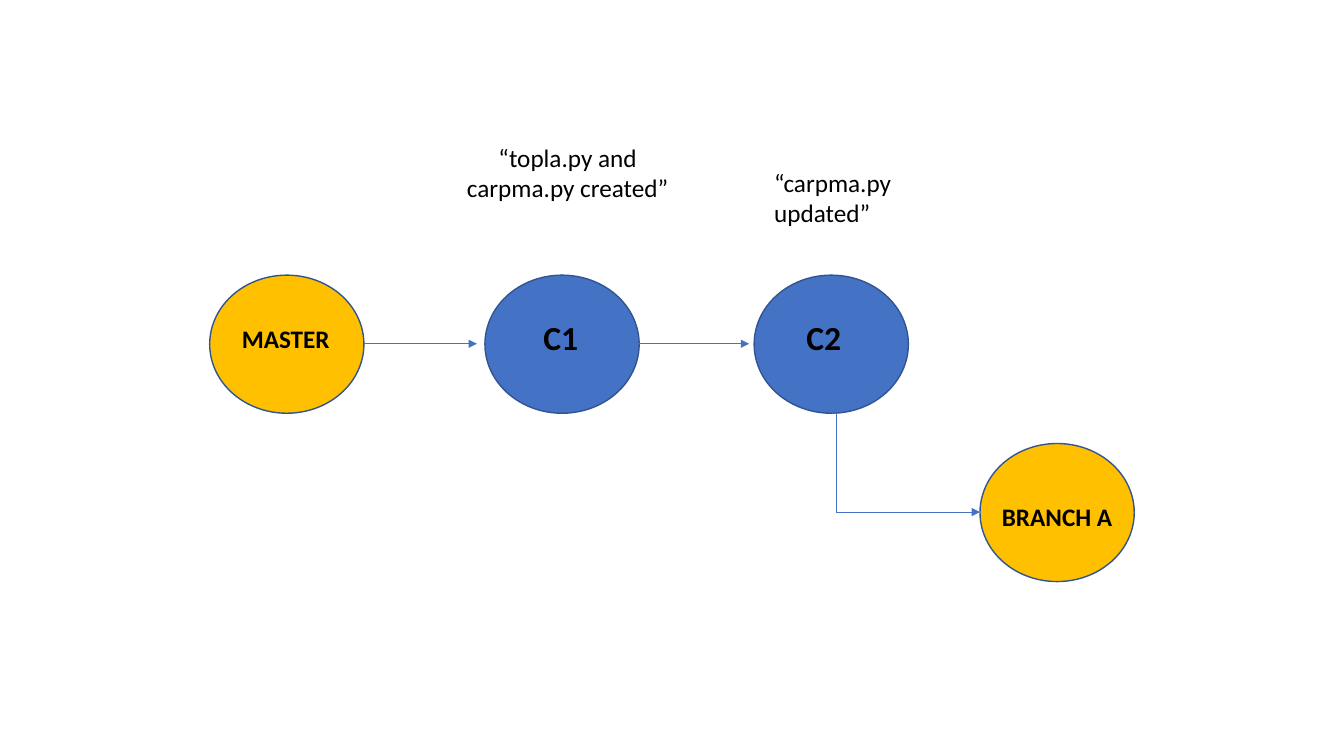
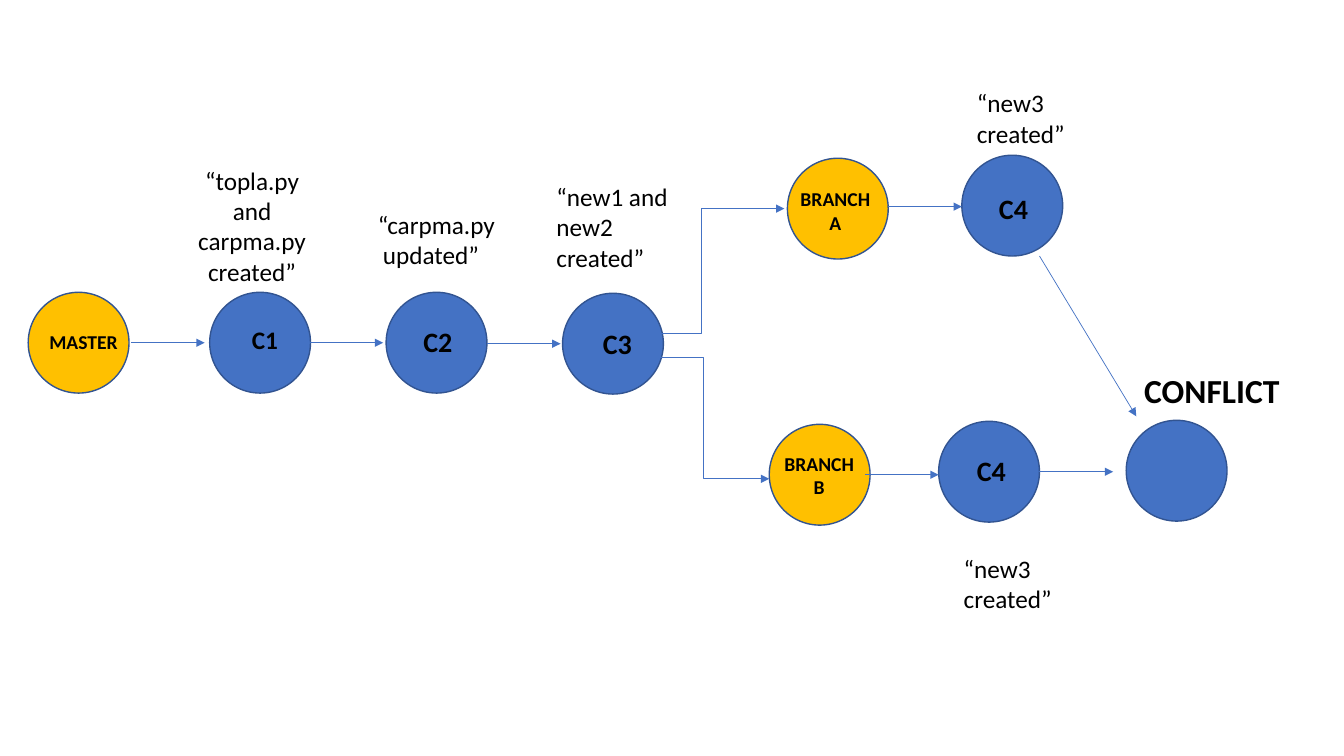
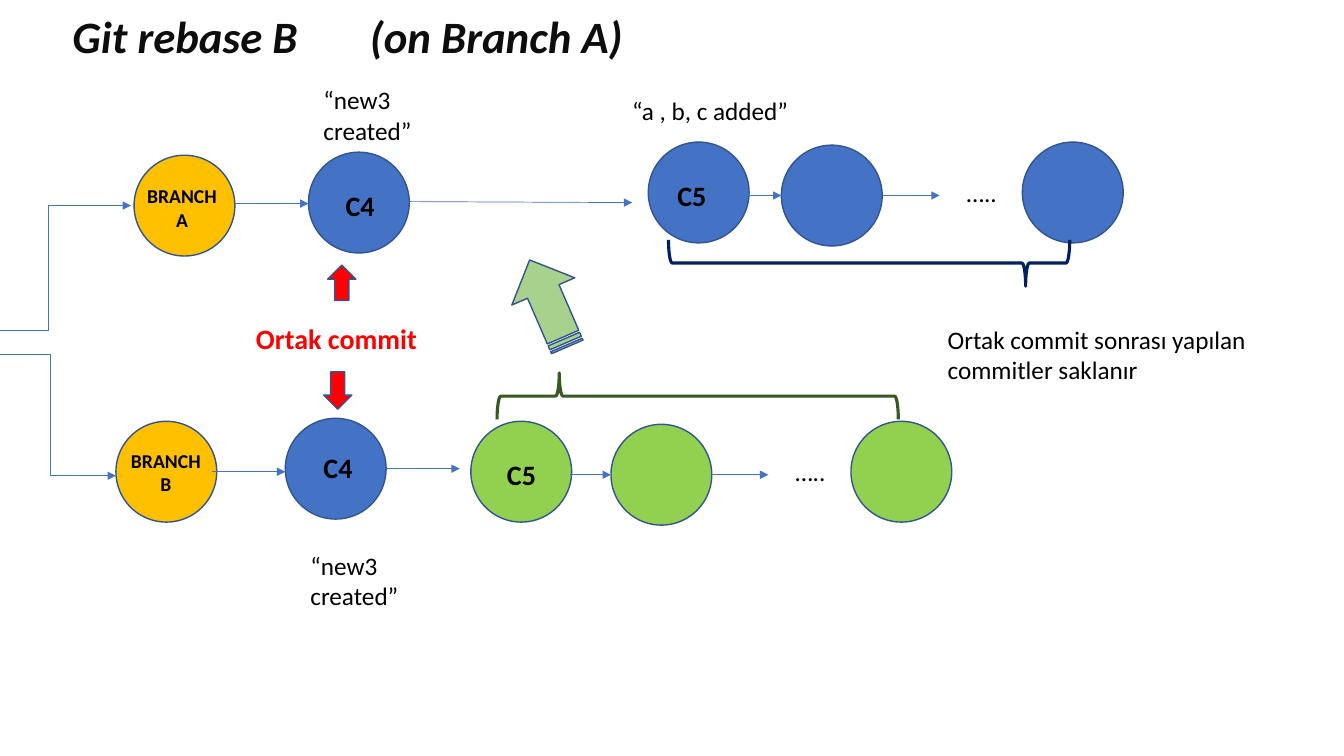
from lxml.etree import SubElement
from pptx import Presentation
from pptx.dml.color import RGBColor
from pptx.enum.shapes import MSO_CONNECTOR, MSO_SHAPE
from pptx.enum.text import MSO_AUTO_SIZE, PP_ALIGN
from pptx.oxml.ns import qn
from pptx.util import Inches, Pt

COLORS = {
    "text": "000000",
    "title": "0D0D0D",
    "branch": "FFC000",
    "commit": "4472C4",
    "rebased": "92D050",
    "outline": "325491",
    "shared": "FF0000",
    "move": "A9D18E",
    "kept_brace": "002060",
    "moved_brace": "385723",
}
COLUMN = ROW = Inches(1)
FONT = "Calibri"


def write(slide, text, left, top, width, height=0.4, size=18, bold=False, italic=False,
          color="text", align=PP_ALIGN.LEFT, wrap=True, hang=0, tab=0):
    box = slide.shapes.add_textbox(int(left * COLUMN), int(top * ROW),
                                   int(width * COLUMN), int(height * ROW))
    frame = box.text_frame
    frame.word_wrap = wrap
    frame.auto_size = MSO_AUTO_SIZE.SHAPE_TO_FIT_TEXT
    frame.text = text
    for paragraph in frame.paragraphs:
        paragraph.alignment = align
        properties = paragraph._p.get_or_add_pPr()
        if hang:
            properties.set("marL", str(int(hang * COLUMN)))
            properties.set("indent", str(-int(hang * COLUMN)))
        if tab:
            stops = SubElement(properties, qn("a:tabLst"))
            SubElement(stops, qn("a:tab"), pos=str(int(tab * COLUMN)), algn="l")
        for run in paragraph.runs:
            run.font.name = FONT
            run.font.size = Pt(size)
            run.font.bold = bold
            run.font.italic = italic
            run.font.color.rgb = RGBColor.from_string(COLORS[color])


def draw(slide, preset, left, top, width=1, height=1, fill=None, line="outline",
         weight=1, rotation=0, adjust=()):
    shape = slide.shapes.add_shape(preset, int(left * COLUMN), int(top * ROW),
                                   int(width * COLUMN), int(height * ROW))
    shape.shadow.inherit = False
    shape.rotation = rotation
    for position, value in enumerate(adjust):
        shape.adjustments[position] = value
    if fill:
        shape.fill.solid()
        shape.fill.fore_color.rgb = RGBColor.from_string(COLORS[fill])
    else:
        shape.fill.background()
    shape.line.color.rgb = RGBColor.from_string(COLORS[line])
    shape.line.width = Pt(weight)


deck = Presentation()
deck.slide_width = int(13.33 * COLUMN)
deck.slide_height = int(7.5 * ROW)
branching, conflict, rebase = [deck.slides.add_slide(deck.slide_layouts[6]) for _ in range(3)]

for kind, left, top in [("branch", 2.08, 2.73), ("commit", 4.81, 2.73),
                        ("commit", 7.48, 2.73), ("branch", 9.72, 4.4)]:
    draw(branching, MSO_SHAPE.OVAL, left, top, 1.53, 1.37, fill=kind)

nodes = [
    (conflict, "branch", 0.28, 2.9),
    (conflict, "commit", 2.08, 2.9),
    (conflict, "commit", 3.83, 2.9),
    (conflict, "commit", 5.58, 2.91),
    (conflict, "commit", 11.17, 4.17),
    (rebase, "commit", 6.43, 1.41),
    (rebase, "commit", 7.75, 1.44),
    (rebase, "commit", 10.14, 1.41),
    (rebase, "rebased", 4.67, 4.18),
    (rebase, "rebased", 6.06, 4.21),
    (rebase, "rebased", 8.44, 4.18),
]
links = [
    (branching, 3.61, 3.41, 4.73, 3.41),
    (branching, 6.31, 3.41, 7.43, 3.41),
    (conflict, 1.3, 3.4, 2.03, 3.4),
    (conflict, 3.07, 3.4, 3.8, 3.4),
    (conflict, 4.83, 3.41, 5.56, 3.41),
    (conflict, 10.31, 2.54, 11.27, 4.13),
    (rebase, 4.06, 2, 6.27, 2.01),
    (rebase, 7.35, 1.94, 7.75, 1.94),
    (rebase, 8.76, 1.94, 9.32, 1.94),
    (rebase, 5.65, 4.71, 6.06, 4.71),
    (rebase, 7.06, 4.71, 7.62, 4.71),
]
turns = [(branching, 8.25, 4.1, 9.72, 5.08, 0.03)]
labels = [
    (conflict, "MASTER", 0.39, 3.22, 0.89, 14),
    (conflict, "C1", 2.4, 3.17, 0.67, 18),
    (conflict, "C2", 4.1, 3.17, 0.67, 20),
    (conflict, "C3", 5.88, 3.19, 0.72, 20),
    (rebase, "C5", 6.62, 1.72, 0.73, 20),
    (rebase, "C5", 4.93, 4.49, 0.73, 20),
    (branching, "C1", 5.29, 3.09, 0.7, 24),
    (branching, "C2", 7.9, 3.09, 0.7, 24),
    (branching, "MASTER", 2.3, 3.16, 1.36, 18),
]
messages = [
    (branching, "“carpma.py updated”", 7.58, 1.61, 2.14),
    (conflict, "“new1 and new2 created”", 5.42, 1.75, 1.4),
    (rebase, "“a , b, c added”", 6.17, 0.9, 2.02),
    (rebase, "…..", 9.49, 1.71, 0.8),
    (rebase, "…..", 7.79, 4.48, 0.8),
    (rebase, "Ortak commit sonrası yapılan commitler saklanır", 9.3, 3.17, 3.18),
]

for slide, right, down in [(conflict, 0, 0), (rebase, -6.48, -0.03)]:
    for kind, left, top in [("branch", 7.81, 1.57), ("branch", 7.63, 4.21),
                            ("commit", 9.54, 1.54), ("commit", 9.31, 4.18)]:
        nodes.append((slide, kind, left + right, top + down))
    for x1, y1, x2, y2 in [(8.81, 2.05, 9.54, 2.05), (8.58, 4.71, 9.31, 4.71),
                           (10.31, 4.68, 11.04, 4.68)]:
        links.append((slide, x1 + right, y1 + down, x2 + right, y2 + down))
    for x1, y1, x2, y2 in [(6.33, 3.55, 7.63, 4.75), (6.14, 3.31, 7.78, 2.07)]:
        turns.append((slide, x1 + right, y1 + down, x2 + right, y2 + down, 0.5))
    for left, top, width in [(9.81, 1.85, 0.73), (9.59, 4.45, 0.57)]:
        labels.append((slide, "C4", left + right, top + down, width, 20))
    for left, top in [(9.59, 0.82), (9.46, 5.44)]:
        messages.append((slide, "“new3 created”", left + right, top + down, 1.71))
    for name, left, top in [("BRANCH A", 7.84, 1.81), ("BRANCH\nB", 7.68, 4.43)]:
        write(slide, name, left + right, top + down, 0.89, 0.57, size=14, bold=True,
              align=PP_ALIGN.CENTER)

branch_names = [shape for slide in (conflict, rebase) for shape in slide.shapes]
for slide, kind, left, top in nodes:
    draw(slide, MSO_SHAPE.OVAL, left, top, fill=kind)
for name in branch_names:
    name._element.getparent().append(name._element)

routes = [(MSO_CONNECTOR.STRAIGHT, *link, None) for link in links]
routes += [(MSO_CONNECTOR.ELBOW, *turn) for turn in turns]
for route, slide, x1, y1, x2, y2, bend in routes:
    arrow = slide.shapes.add_connector(route, int(x1 * COLUMN), int(y1 * ROW),
                                       int(x2 * COLUMN), int(y2 * ROW))
    arrow.line.color.rgb = RGBColor.from_string(COLORS["commit"])
    arrow.line.width = Pt(0.5)
    properties = arrow._element.spPr
    SubElement(properties.find(qn("a:ln")), qn("a:tailEnd"), type="triangle")
    SubElement(properties, qn("a:effectLst"))
    if bend:
        guides = properties.find(qn("a:prstGeom")).get_or_add_avLst()
        SubElement(guides, qn("a:gd"), name="adj1", fmla=f"val {int(bend * 100000)}")

for slide, text, left, top, width, size in labels:
    write(slide, text, left, top, width, size=size, bold=True)
for slide, text, left, top, width in messages:
    write(slide, text, left, top, width)

for slide, left, top, width in [(branching, 4.51, 1.36, 2.24), (conflict, 1.77, 1.59, 1.46)]:
    write(slide, "“topla.py and carpma.py created”", left, top, width, align=PP_ALIGN.CENTER)
write(branching, "BRANCH A", 9.72, 4.92, 1.53, bold=True, align=PP_ALIGN.CENTER)
write(conflict, "“carpma.py updated”", 3.65, 2.03, 1.4, hang=0.05)
write(conflict, "CONFLICT", 11.25, 3.62, 1.56, 0.5, size=24, bold=True, wrap=False)

write(rebase, "Git rebase B\t(on Branch A)", 0.62, 0.04, 8.13, 0.64, size=32, bold=True,
      italic=True, color="title", tab=2.95)
write(rebase, "Ortak commit", 2.44, 3.14, 1.81, 0.44, size=20, bold=True, color="shared",
      wrap=False)
draw(rebase, MSO_SHAPE.UP_ARROW, 3.25, 2.63, 0.28, 0.35, fill="shared")
draw(rebase, MSO_SHAPE.DOWN_ARROW, 3.21, 3.69, 0.28, 0.37, fill="shared")
draw(rebase, MSO_SHAPE.STRIPED_RIGHT_ARROW, 4.97, 2.67, 0.94, 0.68, fill="move", rotation=246.6)
for left, top, rotation, color, point in [(8.39, 0.62, 90, "kept_brace", 0.11),
                                          (6.69, 1.94, 270, "moved_brace", 0.155)]:
    draw(rebase, MSO_SHAPE.RIGHT_BRACE, left, top, 0.46, 3.98, line=color, weight=2.25,
         rotation=rotation, adjust=(0.08, point))

deck.save("out.pptx")
